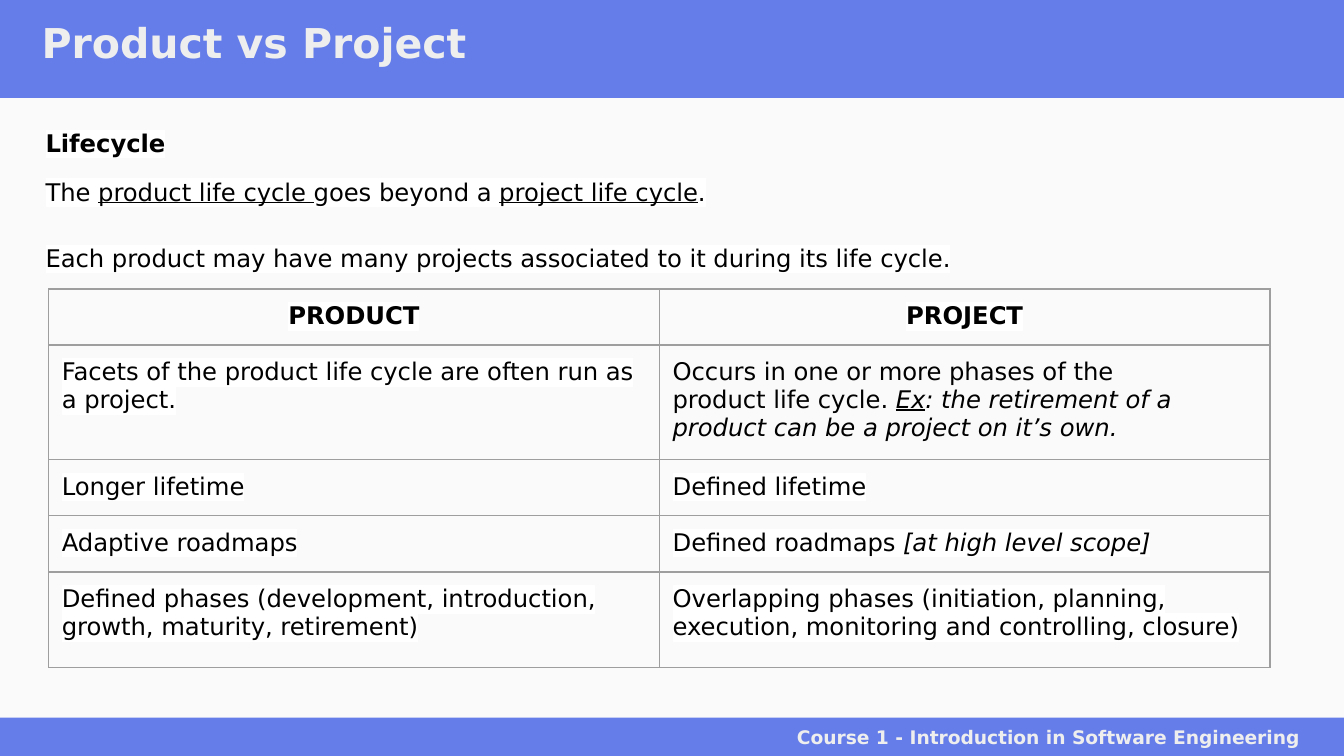
"""Build the Product vs Project lifecycle slide."""
from lxml.etree import SubElement
from pptx import Presentation
from pptx.dml.color import RGBColor
from pptx.enum.shapes import MSO_SHAPE as Shape
from pptx.enum.text import MSO_ANCHOR as Anchor, PP_ALIGN as Align
from pptx.oxml.ns import qn
from pptx.util import Inches, Pt

FONT = "DejaVu Sans"
BLUE, PALE, PAPER = "536EE7", "EEEEEE", "FAFAFA"
BLACK, WHITE, GREY = "000000", "FFFFFF", "9E9E9E"
PLAIN, BOLD = {"highlight": True}, {"highlight": True, "bold": True}
UNDERLINED = {"highlight": True, "underline": True}
HARD_SPACE = chr(160)

TITLE = "Product vs Project"
FOOTER = "Course 1 - Introduction in Software Engineering"
BANDS = [(0, 0.73), (5.34, 0.29)]
INTRO = [
    ([("Lifecycle", BOLD)], {"line_spacing": 1.21}),
    ([("The ", PLAIN), ("product life cycle ", UNDERLINED), ("goes beyond a ", PLAIN),
      ("project life cycle", UNDERLINED), (".", PLAIN)],
     {"line_spacing": 1.15, "space_before": Pt(8)}),
    ([("Each product may have many projects associated to it during its life cycle.", PLAIN)],
     {"line_spacing": 1.15, "space_before": Pt(17.5)}),
]
ROWS = [
    (0.4, [("PRODUCT", BOLD)], [("PROJECT", BOLD)]),
    (0.81, [("Facets of the product life cycle are often run as a project.", PLAIN)],
     [(f"Occurs in one or more phases of the product{HARD_SPACE}life cycle. ", {}),
      ("Ex", {"italic": True, "underline": True}),
      (": the retirement of a product can be a project on it’s own.", {"italic": True})]),
    (0.4, [("Longer lifetime", PLAIN)], [("Defined lifetime", PLAIN)]),
    (0.42, [("Adaptive roadmaps", PLAIN)],
     [("Defined roadmaps ", PLAIN),
      ("[at high level scope]", {"highlight": True, "italic": True})]),
    (0.71, [("Defined phases (development, introduction, growth, maturity, retirement)", PLAIN)],
     [("Overlapping phases (initiation, planning, execution, monitoring and controlling, "
       "closure)", PLAIN)]),
]


def color(value):
    return RGBColor.from_string(value)


def assign(target, values):
    for name, value in values.items():
        setattr(target, name, value)


def write(para, spans, size=13, ink=BLACK, **layout):
    assign(para, layout)
    for text, style in spans:
        span = para.add_run()
        span.text = text
        font_values = {"name": FONT, "size": Pt(size), "bold": False, **style}
        highlighted = font_values.pop("highlight", False)
        assign(span.font, font_values)
        span.font.color.rgb = color(ink)
        if highlighted:
            properties = span.font.fill._xPr
            mark = SubElement(properties, qn("a:highlight"))
            SubElement(mark, qn("a:srgbClr"), val=WHITE)
            properties.find(qn("a:solidFill")).addnext(mark)


def frame(box, left, top, width, height, inset=0):
    assign(box, dict(zip(("left", "top", "width", "height"),
                         map(Inches, (left, top, width, height)))))
    text = box.text_frame
    sides = ("margin_left", "margin_top", "margin_right", "margin_bottom")
    assign(text, {"word_wrap": True, "vertical_anchor": Anchor.TOP,
                  **dict.fromkeys(sides, Inches(inset))})
    return text


def add_band(page, top, height):
    band = page.shapes.add_shape(Shape.RECTANGLE, 0, Inches(top), Inches(10), Inches(height))
    band.shadow.inherit = False
    band.fill.solid()
    band.fill.fore_color.rgb = color(BLUE)
    band.line.fill.background()
    tint = next(band.element.iter(qn("a:srgbClr")))
    SubElement(tint, qn("a:alpha"), val="89000")


def add_text(page, *place, inset=0):
    return frame(page.shapes.add_textbox(0, 0, 0, 0), *place, inset=inset)


def outline(cell):
    cell.fill.background()
    properties = cell._tc.get_or_add_tcPr()
    for index, side in enumerate(("lnL", "lnR", "lnT", "lnB")):
        line = SubElement(properties, qn(f"a:{side}"), w=str(Pt(0.75)))
        fill = SubElement(line, qn("a:solidFill"))
        SubElement(fill, qn("a:srgbClr"), val=GREY)
        properties.insert(index, line)


def add_comparison(page):
    height = sum(row[0] for row in ROWS)
    table = page.shapes.add_table(len(ROWS), 2, Inches(0.36), Inches(2.15),
                                  Inches(9.09), Inches(height)).table
    assign(table, {"first_row": False, "horz_banding": False})
    for row_index, (row_height, *contents) in enumerate(ROWS):
        table.rows[row_index].height = Inches(row_height)
        for column, spans in enumerate(contents):
            cell = table.cell(row_index, column)
            assign(cell, {"margin_top": Inches(0.1), "margin_bottom": Inches(0.1)})
            outline(cell)
            write(cell.text_frame.paragraphs[0], spans,
                  alignment=Align.LEFT if row_index else Align.CENTER)


def main():
    deck = Presentation()
    assign(deck, {"slide_width": Inches(10), "slide_height": Inches(10) * 9 // 16})
    page = deck.slides.add_slide(deck.slide_layouts[5])
    page.background.fill.solid()
    page.background.fill.fore_color.rgb = color(PAPER)
    for band in BANDS:
        add_band(page, *band)

    title = page.shapes.title
    title.element.getparent().append(title.element)
    heading = frame(title, 0.31, 0.13, 9.38, 0.37)
    write(heading.paragraphs[0], [(TITLE, {"bold": True})], 22, PALE, alignment=Align.LEFT)

    intro = add_text(page, 0.24, 0.81, 7.19, 1.3, inset=0.1)
    for index, (spans, layout) in enumerate(INTRO):
        para = intro.add_paragraph() if index else intro.paragraphs[0]
        write(para, spans, **layout)

    add_comparison(page)
    footer = add_text(page, 5.93, 5.4, 4.02, 0.18)
    write(footer.paragraphs[0], [(FOOTER, {"bold": True})], 10, PALE)
    deck.save("out.pptx")


if __name__ == "__main__":
    main()
